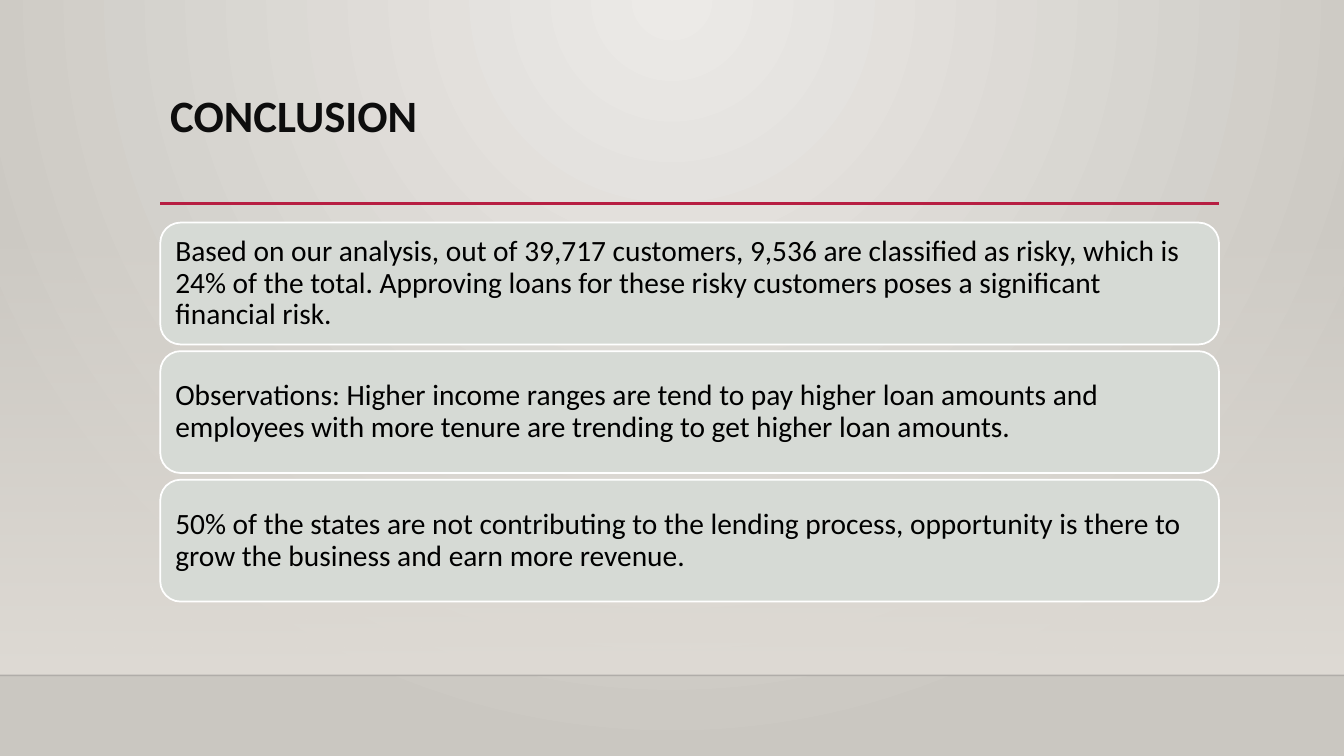
from lxml.etree import SubElement
from pptx import Presentation
from pptx.dml.color import RGBColor
from pptx.enum.shapes import MSO_CONNECTOR, MSO_SHAPE
from pptx.enum.text import MSO_ANCHOR, PP_ALIGN
from pptx.oxml import parse_xml
from pptx.oxml.ns import nsdecls, qn
from pptx.util import Cm, Pt

COLORS = {
    "glow": "ECEAE7", "edge": "CAC7C1", "wall": "DFDBD5", "floor_line": "000001",
    "accent": "B71E42", "title": "0D0D0D", "card": "D6DAD5", "border": "FFFFFF", "text": "000000",
}
FONT = "Calibri"
SLIDE_W, SLIDE_H = Cm(33.87), Cm(19.05)
LEFT, WIDTH = Cm(4.04), Cm(26.68)
RULE_Y, WALL_TOP, FLOOR_Y = Cm(5.13), Cm(5.61), Cm(17.02)
CARD_H, CARD_PITCH = Cm(3.07), Cm(3.24)
CONCLUSIONS = [
    "Based on our analysis, out of 39,717 customers, 9,536 are classified as risky, which is "
    "24% of the total. Approving loans for these risky customers poses a significant financial risk.",
    "Observations: Higher income ranges are tend to pay higher loan amounts and "
    "employees with more tenure are trending to get higher loan amounts.",
    "50% of the states are not contributing to the lending process, opportunity is there to "
    "grow the business and earn more revenue.",
]


def set_gradient(element, start, end, start_alpha, direction):
    """Replace the gradient inside element by a two-stop one with the given direction XML."""
    old = element.find(".//" + qn("a:gradFill"))
    new = parse_xml(
        f'<a:gradFill {nsdecls("a")} rotWithShape="1"><a:gsLst>'
        f'<a:gs pos="0"><a:srgbClr val="{start}"><a:alpha val="{start_alpha * 1000}"/></a:srgbClr></a:gs>'
        f'<a:gs pos="100000"><a:srgbClr val="{end}"/></a:gs>'
        f'</a:gsLst>{direction}</a:gradFill>')
    old.getparent().replace(old, new)


def style_text(tf, text, size, color, bold=False):
    tf.word_wrap = True
    tf.text = text
    p = tf.paragraphs[0]
    p.alignment = PP_ALIGN.LEFT
    p.line_spacing = 0.9
    font = p.runs[0].font
    font.name, font.size, font.bold = FONT, Pt(size), bold
    font.color.rgb = RGBColor.from_string(COLORS[color])


prs = Presentation()
prs.slide_width, prs.slide_height = SLIDE_W, SLIDE_H
s = prs.slides.add_slide(prs.slide_layouts[6])

# Backdrop: radial glow, with a wall fading in down to the floor line
s.background.fill.gradient()
set_gradient(s.element, COLORS["glow"], COLORS["edge"], 100,
             '<a:path path="circle"><a:fillToRect l="43000" r="43000" b="100000"/></a:path>')
wall = s.shapes.add_shape(MSO_SHAPE.RECTANGLE, 0, WALL_TOP, SLIDE_W, FLOOR_Y - WALL_TOP)
wall.shadow.inherit = False
wall.line.fill.background()
wall.fill.gradient()
set_gradient(wall.element, COLORS["wall"], COLORS["wall"], 0, '<a:lin ang="5400000" scaled="0"/>')

# Floor line and title rule
for x1, x2, y, color, weight, alpha in [
    (0, SLIDE_W, FLOOR_Y, "floor_line", 1, 20),
    (LEFT, LEFT + WIDTH, RULE_Y, "accent", 2.5, 100),
]:
    line = s.shapes.add_connector(MSO_CONNECTOR.STRAIGHT, x1, y, x2, y)
    line.line.color.rgb = RGBColor.from_string(COLORS[color])
    line.line.width = Pt(weight)
    SubElement(line.element.spPr, qn("a:effectLst"))
    clr = line.element.spPr.find(".//" + qn("a:srgbClr"))
    SubElement(clr, qn("a:alpha"), val=str(alpha * 1000))

# Title
title = s.shapes.add_textbox(LEFT, Cm(2.24), WIDTH, Cm(2.92))
style_text(title.text_frame, "CONCLUSION", 32, "title", bold=True)

# Conclusion cards
for i, text in enumerate(CONCLUSIONS):
    sp = s.shapes.add_shape(MSO_SHAPE.ROUNDED_RECTANGLE, LEFT, WALL_TOP + i * CARD_PITCH, WIDTH, CARD_H)
    sp.shadow.inherit = False
    sp.fill.solid()
    sp.fill.fore_color.rgb = RGBColor.from_string(COLORS["card"])
    sp.line.color.rgb = RGBColor.from_string(COLORS["border"])
    sp.line.width = Pt(1.25)
    tf = sp.text_frame
    tf.vertical_anchor = MSO_ANCHOR.MIDDLE
    tf.margin_left = tf.margin_right = tf.margin_top = tf.margin_bottom = Cm(0.23)
    style_text(tf, text, 21, "text")

prs.save("out.pptx")
